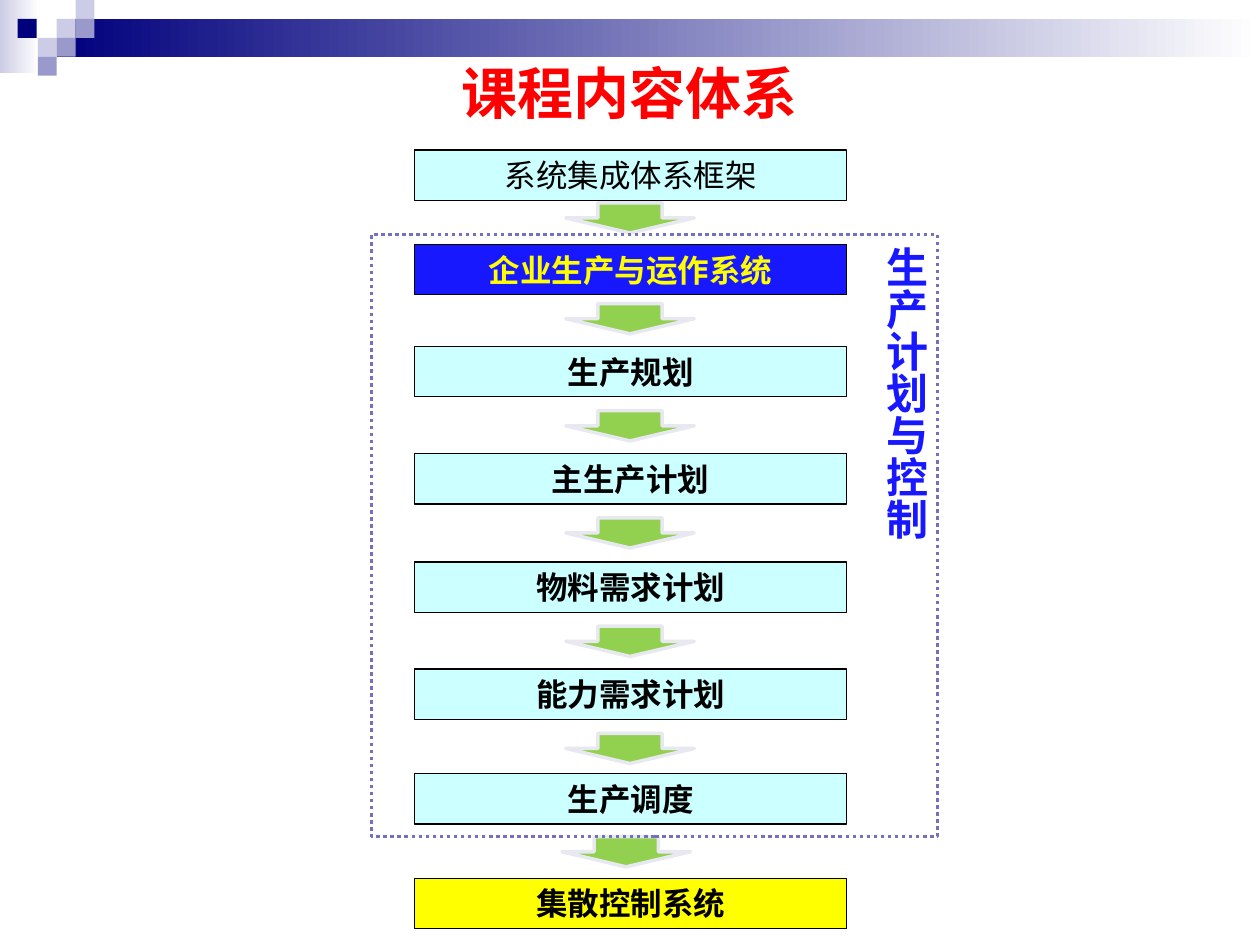
import dataclasses

import lxml.etree
import pptx
import pptx.dml.color
import pptx.enum.dml
import pptx.enum.lang
import pptx.enum.shapes
import pptx.enum.text
import pptx.oxml.ns
import pptx.util

COLUMNS, ROWS = 1000, 750
WIDTH, HEIGHT = pptx.util.Inches(10), pptx.util.Inches(7.5)
SHAPES = pptx.enum.shapes.MSO_SHAPE
ALIGN = pptx.enum.text.PP_ALIGN
ANCHOR = pptx.enum.text.MSO_ANCHOR


@dataclasses.dataclass(frozen=True)
class Theme:
    """Colours, fonts and type sizes of the slide."""
    navy: str = "00007D"
    lilac: str = "CCCCE6"
    violet: str = "9999CC"
    white: str = "FFFFFF"
    black: str = "000000"
    red: str = "FF0000"
    blue: str = "1818FF"
    yellow: str = "FFFF00"
    cyan: str = "CCFFFF"
    green: str = "92D050"
    arrow_edge: str = "E8E8F1"
    frame_edge: str = "7171BD"
    heading_font: str = "Arial"
    step_font: str = "Calibri"
    chinese_font: str = "Noto Sans CJK SC"
    title_size: int = 32
    label_size: int = 24
    step_size: int = 18


THEME = Theme()

STEPS = [
    ("系统集成体系框架", 119, {"font": THEME.chinese_font, "bold": False}),
    ("企业生产与运作系统", 194, {"fill": THEME.blue, "color": THEME.yellow}),
    ("生产规划", 275, {}),
    ("主生产计划", 360, {}),
    ("物料需求计划", 446, {}),
    ("能力需求计划", 531, {}),
    ("生产调度", 614, {}),
    ("集散控制系统", 697, {"fill": THEME.yellow}),
]
ARROWS = [(449, top) for top in (161, 241, 326, 411, 497, 582)] + [(446, 664)]
MOSAIC = [
    (45, 15, THEME.lilac), (60, 0, THEME.lilac), (60, 15, THEME.violet),
    (30, 30, THEME.lilac), (14, 15, THEME.navy), (45, 30, THEME.violet),
    (30, 45, THEME.violet),
]


def rgb(code):
    """Return a colour object for a hex code."""
    return pptx.dml.color.RGBColor.from_string(code)


def grid(left, top, width, height):
    """Turn grid columns and rows into slide lengths."""
    across, down = WIDTH / COLUMNS, HEIGHT / ROWS
    return [round(n) for n in (left * across, top * down, width * across, height * down)]


def add_box(page, place, kind=SHAPES.RECTANGLE, fill=None, line=None, weight=0.75, dash=None):
    """Add a preset shape with an optional plain fill and outline."""
    box = page.shapes.add_shape(kind, *grid(*place))
    box.shadow.inherit = False
    if fill:
        box.fill.solid()
        box.fill.fore_color.rgb = rgb(fill)
    else:
        box.fill.background()
    if line:
        box.line.color.rgb = rgb(line)
        box.line.width = pptx.util.Pt(weight)
        box.line.dash_style = dash
    else:
        box.line.fill.background()
    return box


def add_fade(page, place, start):
    """Add a rectangle that fades from a colour to white, left to right."""
    box = add_box(page, place)
    box.fill.gradient()
    box.fill.gradient_angle = 0
    for stop, code in zip(box.fill.gradient_stops, (start, THEME.white)):
        stop.color.rgb = rgb(code)


def write(box, text, size, color=THEME.black, font=THEME.step_font, bold=True,
          align=ALIGN.CENTER, anchor=ANCHOR.MIDDLE):
    """Put one formatted paragraph into a box."""
    frame = box.text_frame
    frame.word_wrap = True
    frame.vertical_anchor = anchor
    para = frame.paragraphs[0]
    para.alignment = align
    span = para.add_run()
    span.text = text
    span.font.size = pptx.util.Pt(size)
    span.font.bold = bold
    span.font.name = font
    span.font.color.rgb = rgb(color)
    span.font.language_id = pptx.enum.lang.MSO_LANGUAGE_ID.SIMPLIFIED_CHINESE
    east_asian = lxml.etree.SubElement(span.font._element, pptx.oxml.ns.qn("a:ea"))
    east_asian.set("typeface", THEME.chinese_font)


def add_banner(page):
    """Add the fading bands and the mosaic at the top."""
    add_fade(page, (0, 0, 31, 58), THEME.lilac)
    add_fade(page, (45, 15, 955, 30), THEME.navy)
    for left, top, fill in MOSAIC:
        add_box(page, (left, top, 15, 15), fill=fill)


def add_title(page):
    """Add the slide heading."""
    box = page.shapes.add_textbox(*grid(50, 50, 900, 46))
    write(box, "课程内容体系", THEME.title_size, color=THEME.red, font=THEME.heading_font)


def add_step(page, text, top, fill=THEME.cyan, **style):
    """Add one step of the course flow."""
    box = add_box(page, (329, top, 343, 40), fill=fill, line=THEME.black)
    write(box, text, THEME.step_size, **style)


def add_control_frame(page):
    """Add the dotted frame with its vertical label."""
    box = add_box(page, (295, 186, 449, 478), line=THEME.frame_edge, weight=2,
                  dash=pptx.enum.dml.MSO_LINE.ROUND_DOT)
    write(box, "生产计划与控制", THEME.label_size, color=THEME.blue,
          font=THEME.heading_font, align=ALIGN.LEFT, anchor=ANCHOR.TOP)
    box.text_frame._txBody.bodyPr.set("vert", "eaVert")


def main():
    """Build and save the slide."""
    deck = pptx.Presentation()
    deck.slide_width, deck.slide_height = WIDTH, HEIGHT
    page = deck.slides.add_slide(deck.slide_layouts[6])
    add_banner(page)
    add_title(page)
    for text, top, style in STEPS:
        add_step(page, text, top, **style)
    for left, top in ARROWS:
        add_box(page, (left, top, 102, 24), kind=SHAPES.DOWN_ARROW,
                fill=THEME.green, line=THEME.arrow_edge, weight=2)
    add_control_frame(page)
    deck.save("out.pptx")


if __name__ == "__main__":
    main()
